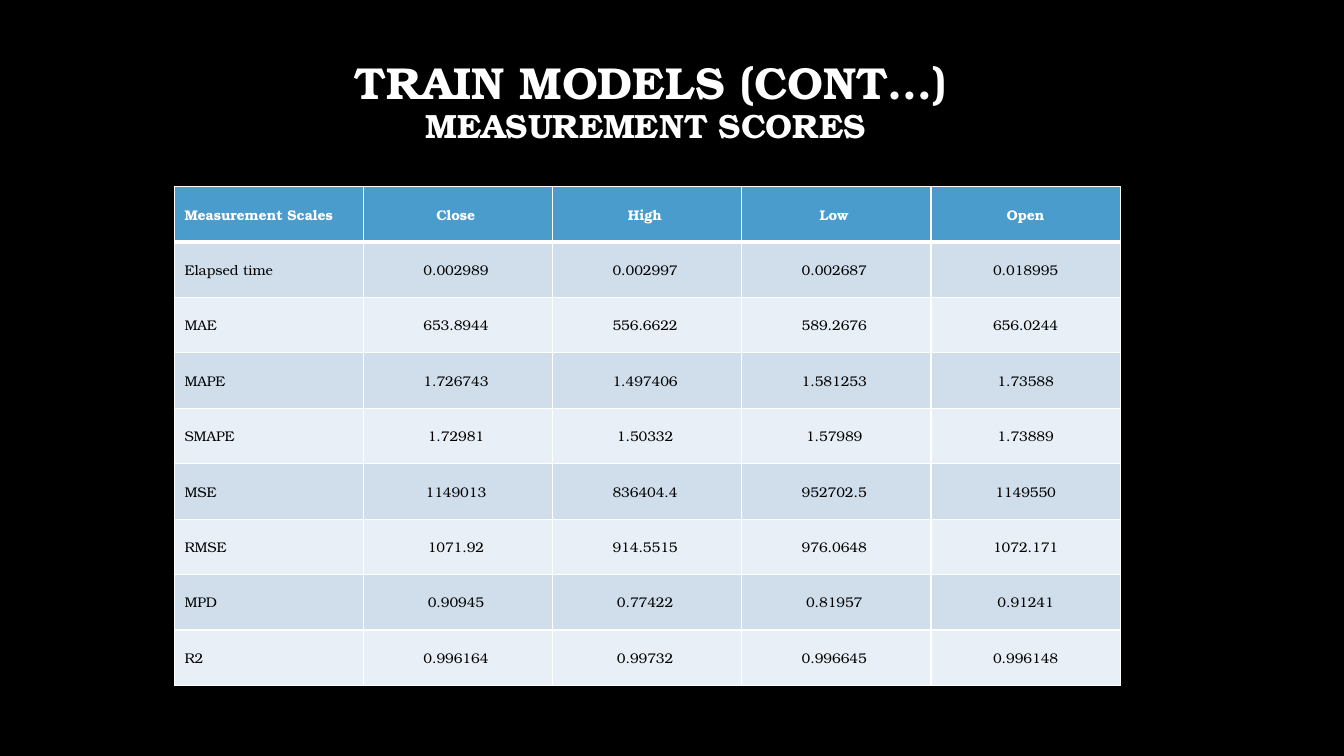
from lxml import etree
from pptx import Presentation
from pptx.dml.color import RGBColor
from pptx.enum.text import MSO_ANCHOR as Anchor, PP_ALIGN as Align
from pptx.oxml.ns import qn
from pptx.util import Inches, Pt

# Content
TITLE = [("TRAIN MODELS (CONT…)", 32), ("MEASUREMENT SCORES ", 24)]
SCORES = [
    ("Measurement Scales", "Close", "High", "Low", "Open"),
    ("Elapsed time", "0.002989", "0.002997", "0.002687", "0.018995"),
    ("MAE", "653.8944", "556.6622", "589.2676", "656.0244"),
    ("MAPE", "1.726743", "1.497406", "1.581253", "1.73588"),
    ("SMAPE", "1.72981", "1.50332", "1.57989", "1.73889"),
    ("MSE", "1149013", "836404.4", "952702.5", "1149550"),
    ("RMSE", "1071.92", "914.5515", "976.0648", "1072.171"),
    ("MPD", "0.90945", "0.77422", "0.81957", "0.91241"),
    ("R2", "0.996164", "0.99732", "0.996645", "0.996148"),
]

# Style
FONT = "TeX Gyre Bonum"
BLACK, WHITE = "000000", "FFFFFF"
HEADER, BANDS = "4A9CCC", ("E9EFF6", "D0DEEC")
TABLE_W, TABLE_H = 9.38, 4.95


def rgb(code):
    return RGBColor.from_string(code)


def style(font, size, color, bold):
    font.name, font.size, font.bold = FONT, Pt(size), bold
    font.color.rgb = rgb(color)


def add_border(cell, side, width):
    ln = etree.SubElement(cell._tc.get_or_add_tcPr(), qn(f"a:ln{side}"), w=str(Pt(width)))
    fill = etree.SubElement(ln, qn("a:solidFill"))
    etree.SubElement(fill, qn("a:srgbClr"), val=WHITE)


# Slide
prs = Presentation()
prs.slide_width, prs.slide_height = Inches(13.33), Inches(7.5)
s = prs.slides.add_slide(prs.slide_layouts[6])
s.background.fill.solid()
s.background.fill.fore_color.rgb = rgb(BLACK)

# Title: two lines of one paragraph
tf = s.shapes.add_textbox(Inches(0.6), Inches(0.42), Inches(11.72), Inches(1.21)).text_frame
tf.word_wrap, tf.vertical_anchor = True, Anchor.MIDDLE
p = tf.paragraphs[0]
p.alignment, p.line_spacing = Align.CENTER, 0.9
for i, (line, size) in enumerate(TITLE):
    if i:
        p.add_line_break()
    r = p.add_run()
    r.text = line
    style(r.font, size, WHITE, True)

# Score table
n_rows, n_cols = len(SCORES), len(SCORES[0])
table = s.shapes.add_table(n_rows, n_cols, Inches(1.73), Inches(1.85),
                           Inches(TABLE_W), Inches(TABLE_H)).table
for col in table.columns:
    col.width = Inches(TABLE_W / n_cols)
for row in table.rows:
    row.height = Inches(TABLE_H / n_rows)

for i, values in enumerate(SCORES):
    for j, value in enumerate(values):
        cell = table.cell(i, j)
        # The middle columns sit half a space left of centre
        cell.text = value + " " if 0 < j < n_cols - 1 else value
        cell.vertical_anchor = Anchor.MIDDLE
        p = cell.text_frame.paragraphs[0]
        p.alignment = Align.CENTER if j else Align.LEFT
        style(p.font, 10, BLACK if i else WHITE, i == 0)
        # A thick rule parts the header from the scores
        for side, width in (("L", 1), ("R", 1), ("T", 3 if i == 1 else 1), ("B", 1 if i else 3)):
            add_border(cell, side, width)
        cell.fill.solid()
        cell.fill.fore_color.rgb = rgb(BANDS[i % 2] if i else HEADER)

prs.save("out.pptx")
